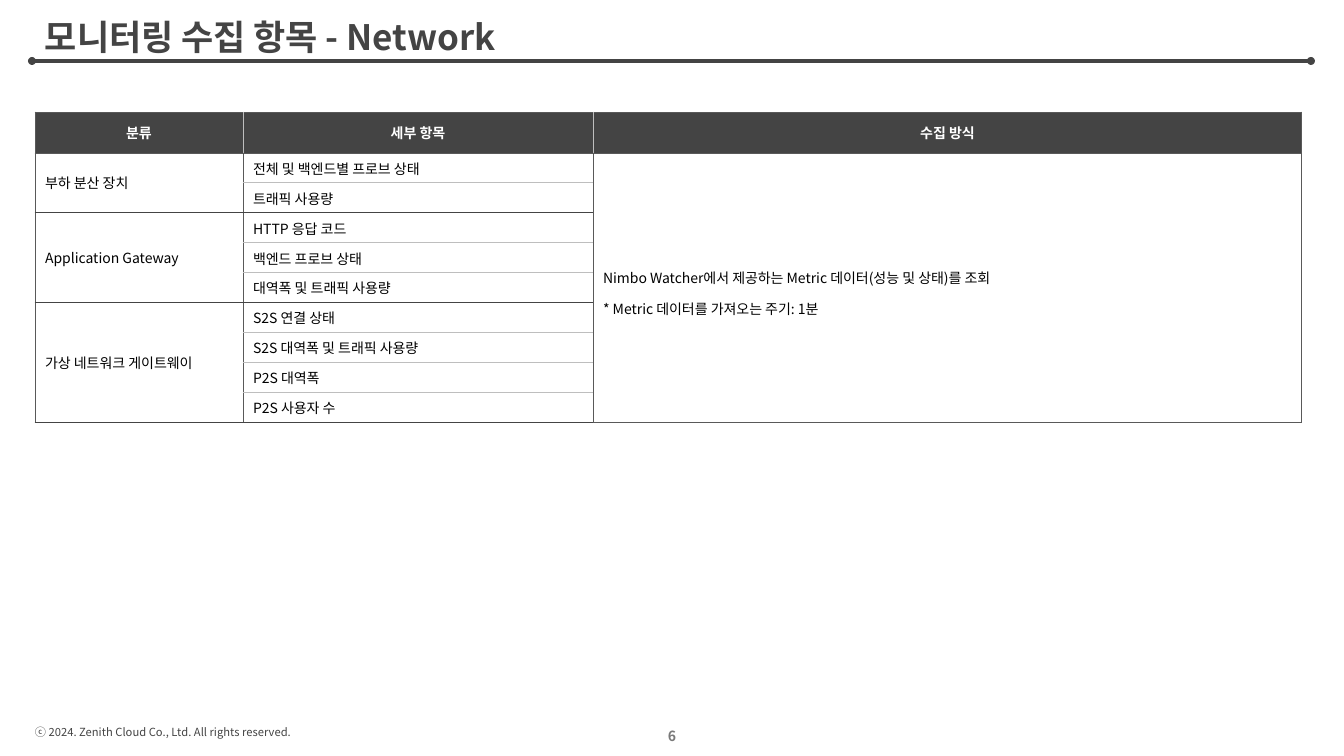
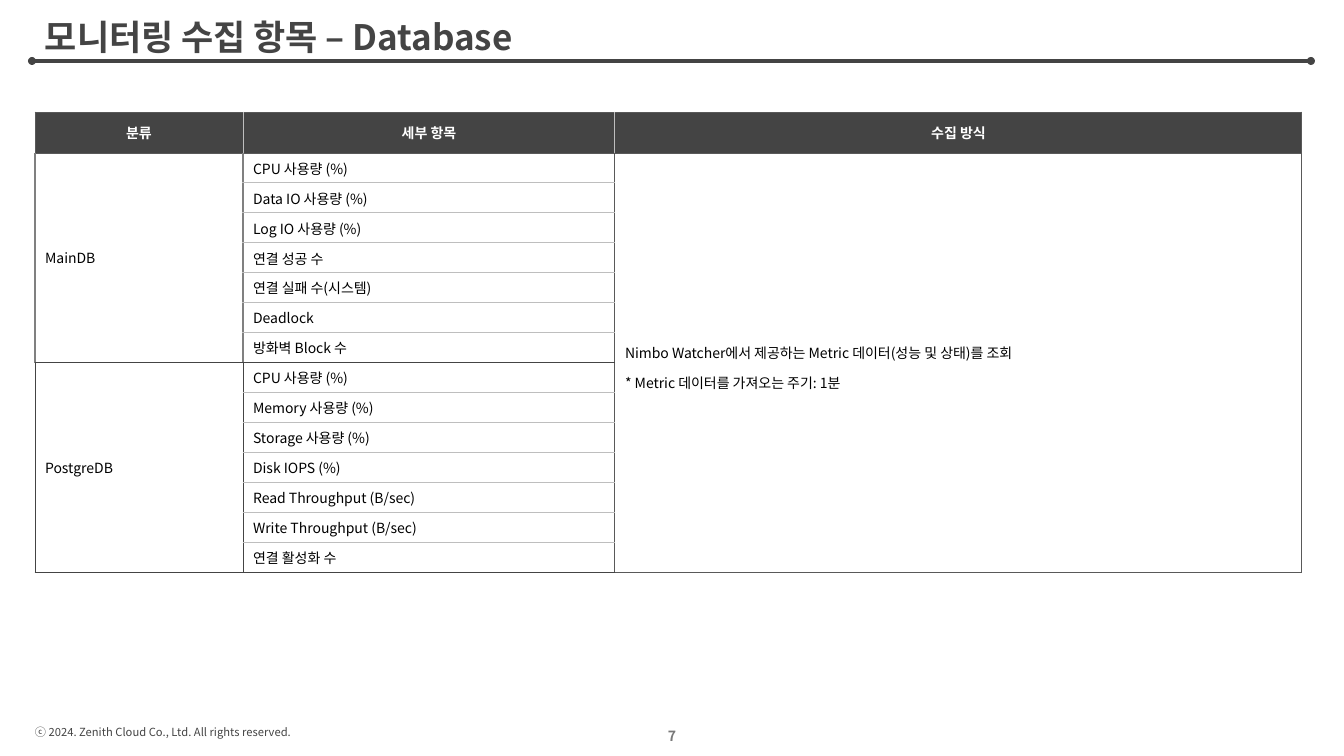
"""Build the two monitoring-item slides, Network and Database."""
from lxml.etree import SubElement
from pptx import Presentation
from pptx.dml.color import RGBColor
from pptx.enum.shapes import MSO_CONNECTOR as Connector, MSO_SHAPE as Shape
from pptx.enum.text import MSO_ANCHOR as Anchor, PP_ALIGN as Align
from pptx.oxml.ns import qn
from pptx.util import Emu, Pt

PX = 914400 / 100.8
FONT = "Noto Sans CJK KR"
DARK = RGBColor(0x44, 0x44, 0x44)
FRAME = RGBColor(0x59, 0x59, 0x59)
PAGE_GRAY = RGBColor(0x79, 0x79, 0x79)
SOFT = RGBColor(0x80, 0x80, 0x80)
RULE = RGBColor(0xBE, 0xBE, 0xBE)
BLACK = RGBColor(0, 0, 0)
WHITE = RGBColor(255, 255, 255)

TITLE = {"size": Pt(25), "bold": True, "color": DARK}
FOOTER = {"size": Pt(8), "bold": False, "color": DARK}
PAGE = {"size": Pt(10), "bold": True, "color": PAGE_GRAY}
HEADING = {"size": Pt(10), "bold": True, "color": WHITE}
BODY = {"size": Pt(10), "bold": False, "color": BLACK}

TITLE_BOX = (35, 17, 1272, 44)
FOOTER_BOX = (25, 720, 280, 24)
PAGE_BOX = (521, 716, 302, 40)
RULE_BOX = (32, 61, 1279, 0)
TABLE_BOX = (35, 112, 1267, 41)
ROW_HEIGHT = 30
DOT = 8

COPYRIGHT = "ⓒ 2024. Zenith Cloud Co., Ltd. All rights reserved."
HEADINGS = ["분류", "세부 항목", "수집 방식"]
METHOD = [
    "Nimbo Watcher에서 제공하는 Metric 데이터(성능 및 상태)를 조회",
    "* Metric 데이터를 가져오는 주기: 1분",
]
THIN_FRAME = (FRAME, 0.75)
THIN_DARK = (DARK, 0.75)
THIN_RULE = (RULE, 0.75)
SOFT_FRAME = (SOFT, 1)

SLIDES = [
    {
        "title": "모니터링 수집 항목 - Network",
        "page": "6",
        "columns": (208, 350),
        "groups": [
            ("부하 분산 장치", THIN_FRAME,
             ["전체 및 백엔드별 프로브 상태", "트래픽 사용량"]),
            ("Application Gateway", THIN_FRAME,
             ["HTTP 응답 코드", "백엔드 프로브 상태", "대역폭 및 트래픽 사용량"]),
            ("가상 네트워크 게이트웨이", THIN_FRAME,
             ["S2S 연결 상태", "S2S 대역폭 및 트래픽 사용량", "P2S 대역폭", "P2S 사용자 수"]),
        ],
    },
    {
        "title": "모니터링 수집 항목 – Database",
        "page": "7",
        "columns": (208, 372),
        "groups": [
            ("MainDB", SOFT_FRAME,
             ["CPU 사용량 (%)", "Data IO 사용량 (%)", "Log IO 사용량 (%)", "연결 성공 수",
              "연결 실패 수(시스템)", "Deadlock", "방화벽 Block 수"]),
            ("PostgreDB", THIN_DARK,
             ["CPU 사용량 (%)", "Memory 사용량 (%)", "Storage 사용량 (%)", "Disk IOPS (%)",
              "Read Throughput (B/sec)", "Write Throughput (B/sec)", "연결 활성화 수"]),
        ],
    },
]


def px(*lengths):
    """Turn pixel lengths into EMU."""
    return [Emu(round(length * PX)) for length in lengths]


def write(frame, lines, style, align=Align.LEFT, spacing=1.0):
    """Write one formatted paragraph per line into a text frame."""
    for index, line in enumerate(lines):
        paragraph = frame.add_paragraph() if index else frame.paragraphs[0]
        paragraph.alignment, paragraph.line_spacing = align, spacing
        run = paragraph.add_run()
        run.text = line
        for name, value in style.items():
            if name == "color":
                run.font.color.rgb = value
            else:
                setattr(run.font, name, value)
        run.font.name = FONT
        SubElement(run.font._element, qn("a:ea"), typeface=FONT)


def add_label(slide, box, text, style, align=Align.LEFT, anchor=Anchor.MIDDLE,
              wrap=True, spacing=1.0):
    """Place one line of text in a box."""
    frame = slide.shapes.add_textbox(*px(*box)).text_frame
    frame.word_wrap, frame.vertical_anchor = wrap, anchor
    write(frame, [text], style, align, spacing)


def add_title_rule(slide, box):
    """Draw the line below the title with a dot at each end."""
    left, top, width, height = box
    right = left + width
    rule = slide.shapes.add_connector(
        Connector.STRAIGHT, *px(left, top, right, top + height))
    rule.line.color.rgb, rule.line.width = DARK, Pt(2.25)
    SubElement(rule._element.spPr, qn("a:effectLst"))
    for center in (left, right):
        dot = slide.shapes.add_shape(
            Shape.FLOWCHART_CONNECTOR,
            *px(center - DOT // 2, top - DOT // 2, DOT, DOT))
        dot.shadow.inherit = False
        dot.fill.solid()
        dot.fill.fore_color.rgb = DARK
        dot.line.fill.background()


def fill_cell(cell, lines, style, edges, fill=WHITE, align=Align.LEFT, spacing=1.0):
    """Set the text, the left, right, top and bottom edges and the fill of a cell."""
    cell.vertical_anchor = Anchor.MIDDLE
    write(cell.text_frame, lines, style, align, spacing)
    properties = cell._tc.get_or_add_tcPr()
    for side, (color, points) in zip("LRTB", edges):
        edge = SubElement(properties, qn(f"a:ln{side}"), w=str(Pt(points)))
        paint = SubElement(edge, qn("a:solidFill"))
        SubElement(paint, qn("a:srgbClr"), val=str(color))
    cell.fill.solid()
    cell.fill.fore_color.rgb = fill


def add_items_table(slide, box, columns, groups):
    """Lay out the grouped items beside the shared collection method."""
    left, top, width, header_height = box
    count = sum(len(items) for _, _, items in groups)
    table = slide.shapes.add_table(
        count + 1, len(HEADINGS),
        *px(left, top, width, header_height + count * ROW_HEIGHT)).table
    table.first_row = table.horz_banding = False
    for column, size in zip(table.columns, px(*columns, width - sum(columns))):
        column.width = size
    for row, size in zip(table.rows, px(header_height, *[ROW_HEIGHT] * count)):
        row.height = size

    for index, heading in enumerate(HEADINGS):
        edges = (THIN_RULE if index else THIN_FRAME,
                 THIN_RULE if index < len(HEADINGS) - 1 else THIN_FRAME,
                 THIN_FRAME, THIN_FRAME)
        fill_cell(table.cell(0, index), [heading], HEADING, edges, DARK, Align.CENTER)

    first = 1
    for category, border, items in groups:
        last = first + len(items) - 1
        group_top = THIN_FRAME if first == 1 else THIN_DARK
        category_cell = table.cell(first, 0)
        category_cell.merge(table.cell(last, 0))
        fill_cell(category_cell, [category], BODY, (border, border, group_top, THIN_DARK))
        for row, item in enumerate(items, first):
            edges = (border, THIN_FRAME,
                     group_top if row == first else THIN_RULE,
                     THIN_DARK if row == last else THIN_RULE)
            fill_cell(table.cell(row, 1), [item], BODY, edges)
        first = last + 1

    method_cell = table.cell(1, 2)
    method_cell.merge(table.cell(count, 2))
    fill_cell(method_cell, METHOD, BODY, [THIN_FRAME] * 4, spacing=1.5)


def add_items_slide(deck, title, page, columns, groups):
    """Add one slide with its title, rule, table and footer."""
    slide = deck.slides.add_slide(deck.slide_layouts[6])
    add_label(slide, FOOTER_BOX, COPYRIGHT, FOOTER, anchor=Anchor.TOP, wrap=False)
    add_title_rule(slide, RULE_BOX)
    add_label(slide, PAGE_BOX, page, PAGE, Align.CENTER)
    add_label(slide, TITLE_BOX, title, TITLE, spacing=0.9)
    add_items_table(slide, TABLE_BOX, columns, groups)


def main():
    """Build and save the deck."""
    deck = Presentation()
    deck.slide_width, deck.slide_height = px(1344, 756)
    for content in SLIDES:
        add_items_slide(deck, **content)
    deck.save("out.pptx")


if __name__ == "__main__":
    main()
